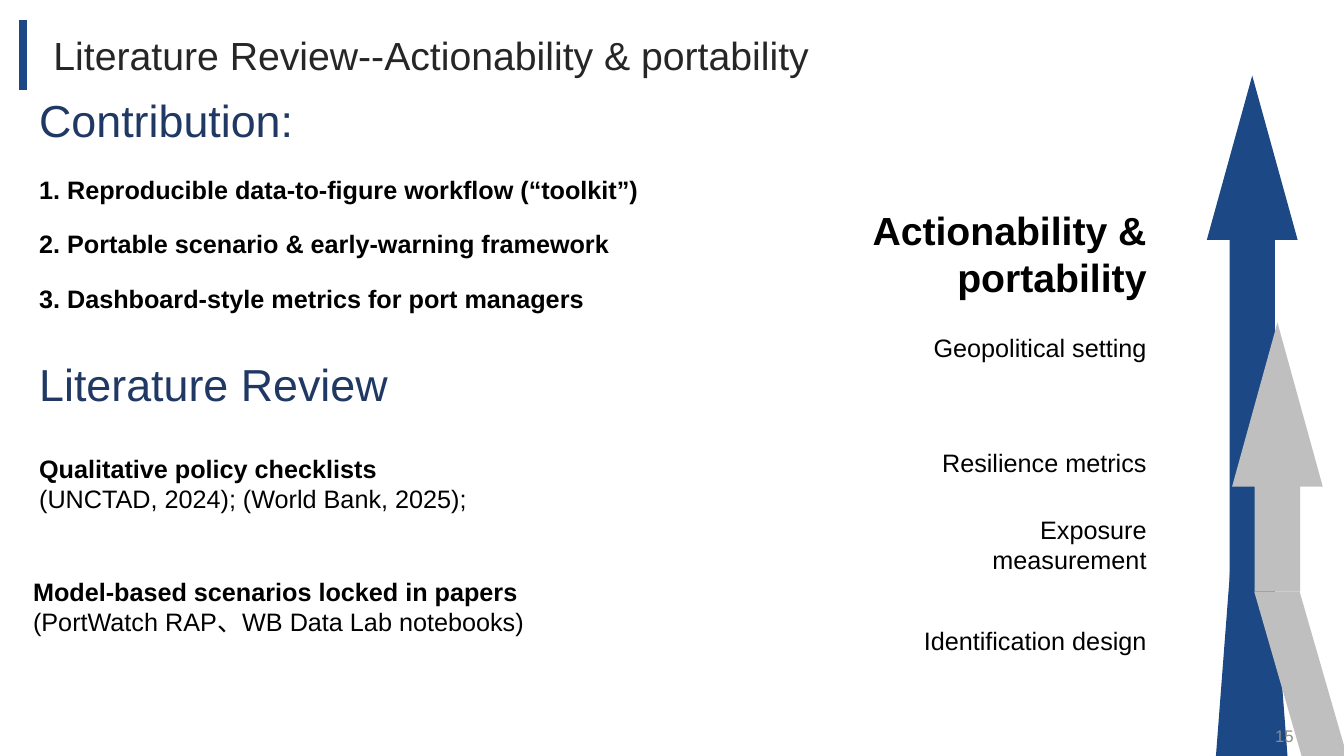
import pptx
import pptx.dml.color
import pptx.enum.shapes
import pptx.enum.text
import pptx.oxml
import pptx.util

PX = 9144
ALIGN = pptx.enum.text.PP_ALIGN
ANCHOR = pptx.enum.text.MSO_ANCHOR
THEME = {
    "font": "Arial",
    "blue": "1C4885", "grey": "BFBFBF", "navy": "203864",
    "title_ink": "262626", "ink": "000000", "faint": "8C8C8C",
    "heading": 32, "title": 28, "body": 18, "number": 12,
}


def color(name):
    return pptx.dml.color.RGBColor.from_string(THEME[name])


def write(box, area, lines, size="body", ink="ink", align=ALIGN.LEFT, anchor=ANCHOR.TOP, spacing=1.0):
    box.left, box.top, box.width, box.height = [value * PX for value in area]
    frame = box.text_frame
    frame.word_wrap = True
    frame.vertical_anchor = anchor
    for index, (text, bold) in enumerate(lines):
        para = frame.add_paragraph() if index else frame.paragraphs[0]
        para.alignment = align
        para.line_spacing = spacing
        span = para.add_run()
        span.text = text
        formats = {"name": THEME["font"], "size": pptx.util.Pt(THEME[size]), "bold": bold}
        for key, value in formats.items():
            setattr(span.font, key, value)
        span.font.color.rgb = color(ink)


deck = pptx.Presentation()
deck.slide_width, deck.slide_height = 1333 * PX, 750 * PX
page = deck.slides.add_slide(deck.slide_layouts[5])
shapes = page.shapes

write(shapes.title, (43, 26, 806, 104), [("Literature Review--Actionability & portability", False)],
      "title", "title_ink")

accent = shapes.add_connector(pptx.enum.shapes.MSO_CONNECTOR.STRAIGHT, 23 * PX, 20 * PX, 23 * PX, 89 * PX)
accent.line.color.rgb = color("blue")
accent.line.width = pptx.util.Pt(6)
accent._element.spPr.append(pptx.oxml.parse_xml(
    '<a:effectLst xmlns:a="http://schemas.openxmlformats.org/drawingml/2006/main"/>'))

themes = [
    ((902, 615, 245, 48), "Identification design", "body", False),
    ((872, 505, 275, 71), "Exposure measurement", "body", False),
    ((895, 439, 252, 40), "Resilience metrics", "body", False),
    ((884, 325, 263, 40), "Geopolitical setting", "body", False),
    ((848, 200, 299, 104), "Actionability & portability", "title", True),
]
for area, text, size, bold in themes:
    write(shapes.add_textbox(0, 0, 0, 0), area, [(text, bold)], size, align=ALIGN.RIGHT)

reviews = [
    ((29, 445, 638, 71), "Qualitative policy checklists", "(UNCTAD, 2024); (World Bank, 2025);"),
    ((23, 567, 663, 71), "Model-based scenarios locked in papers", "(PortWatch RAP、WB Data Lab notebooks)"),
]
for area, approach, sources in reviews:
    write(shapes.add_textbox(0, 0, 0, 0), area, [(approach, True), (sources, False)])

contributions = [
    "1. Reproducible data-to-figure workflow (“toolkit”)",
    "2. Portable scenario & early-warning framework",
    "3. Dashboard-style metrics for port managers",
]
write(shapes.add_textbox(0, 0, 0, 0), (29, 144, 806, 179),
      [(text, True) for text in contributions], spacing=1.8)

arrows = [
    ("blue", (1197, 75, 90, 501), [(1220, 567), (1263, 567), (1277, 750), (1206, 750)]),
    ("grey", (1222, 320, 90, 267), [(1244, 587), (1289, 587), (1338, 757), (1293, 757)]),
]
for name, area, corners in arrows:
    head = shapes.add_shape(pptx.enum.shapes.MSO_SHAPE.UP_ARROW, *[value * PX for value in area])
    head.adjustments[0] = 0.5
    head.adjustments[1] = 1.81
    builder = shapes.build_freeform(*corners[0], scale=PX)
    builder.add_line_segments(corners[1:], close=True)
    tail = builder.convert_to_shape()
    for part in (head, tail):
        part.shadow.inherit = False
        part.fill.solid()
        part.fill.fore_color.rgb = color(name)
        part.line.fill.background()

for area, text in [((29, 87, 444, 80), "Contribution:"), ((29, 349, 444, 64), "Literature Review")]:
    write(shapes.add_textbox(0, 0, 0, 0), area, [(text, False)], "heading", "navy")

write(shapes.add_textbox(0, 0, 0, 0), (993, 710, 300, 40), [("15", False)],
      "number", "faint", ALIGN.RIGHT, ANCHOR.MIDDLE)

deck.save("out.pptx")
